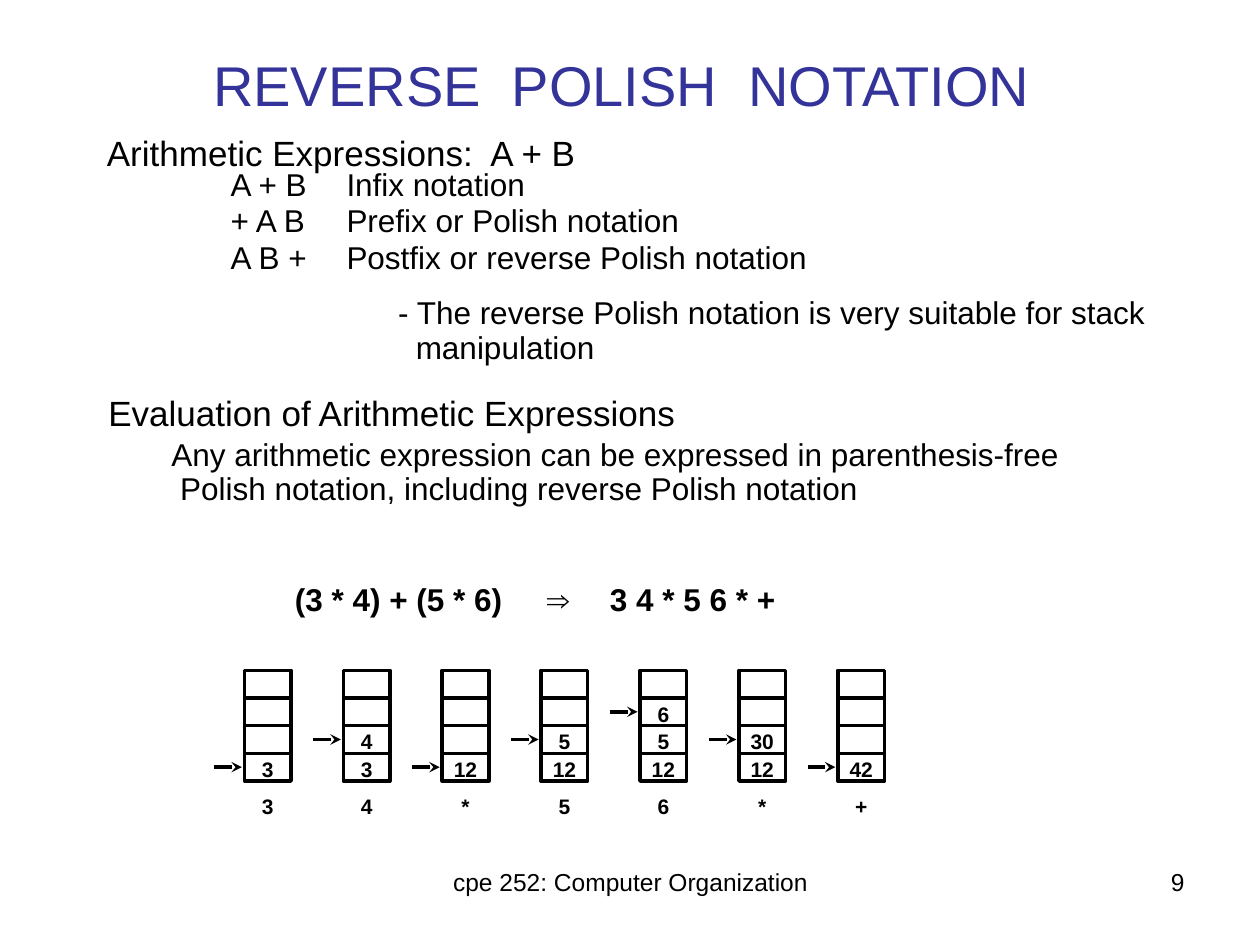
"""Build a slide on reverse Polish notation with stack evaluation steps."""
from dataclasses import dataclass

from lxml.etree import SubElement
from pptx import Presentation
from pptx.dml.color import RGBColor
from pptx.enum.shapes import MSO_CONNECTOR as Connector, MSO_SHAPE as Preset
from pptx.enum.text import MSO_ANCHOR as Anchor, PP_ALIGN as Align
from pptx.oxml.ns import qn
from pptx.util import Inches, Pt


@dataclass(frozen=True)
class Theme:
    font: str = "Arial"
    title_color: RGBColor = RGBColor(0x33, 0x33, 0x99)
    ink: RGBColor = RGBColor(0, 0, 0)
    title: int = 32
    heading: int = 20
    body: int = 18
    footer: int = 14
    cell: int = 12
    stroke: int = 2


@dataclass(frozen=True)
class Line:
    text: str
    margin: float = 0
    indent: float = 0
    tabs: tuple[float, ...] = ()


@dataclass(frozen=True)
class Block:
    left: float
    top: float
    width: float
    height: float
    lines: tuple[Line, ...]
    size: int
    spacing: float = 1
    color: RGBColor = Theme.ink
    bold: bool = False
    align: Align = Align.LEFT
    anchor: Anchor = Anchor.TOP
    insets: tuple[float, float] = (0.07, 0.03)


@dataclass(frozen=True)
class Stack:
    symbol: str
    values: tuple[str, ...]


THEME = Theme()
WIDTH, HEIGHT = Inches(10), Inches(7.5)
WIDE_INSETS = (0.1, 0.05)
CELL_INSETS = (0, 0.05)
ROWS = 4
GRID_LEFT, GRID_TOP, COLUMN_PITCH = 19.4, 70.93, 7.85
STACK_WIDTH, ROW_HEIGHT = 3.7, 2.93
SYMBOL_TOP = 83.6
ARROW_START, ARROW_END = 2.4, 0.2
NOTATION_LAYOUT = (0.42, -0.42, (0.99,))
FORMULA_TABS = (1.83, 2.52)

BLOCKS = (
    Block(34.2, 91.07, 31.7, 6.93, (Line("cpe 252: Computer Organization"),),
          THEME.footer, align=Align.CENTER, insets=WIDE_INSETS),
    Block(71.7, 91.07, 23.3, 6.93, (Line("9"),),
          THEME.footer, align=Align.RIGHT, insets=WIDE_INSETS),
    Block(11.7, 3.33, 75.3, 11.2, (Line("REVERSE  POLISH  NOTATION"),),
          THEME.title, color=THEME.title_color, align=Align.CENTER, anchor=Anchor.MIDDLE),
    Block(17.6, 17.33, 75.8, 12.27, (
        Line("A + B\tInfix notation", *NOTATION_LAYOUT),
        Line("+ A B\tPrefix or Polish notation", *NOTATION_LAYOUT),
        Line("A B +\tPostfix or reverse Polish notation", *NOTATION_LAYOUT),
    ), THEME.body, 0.96),
    Block(28.1, 30.93, 68.5, 14, (
        Line("- The reverse Polish notation is very suitable for stack manipulation", 0.42, -0.14),
    ), THEME.body, 0.94),
    Block(6.5, 41.73, 48, 4.53, (Line("Evaluation of Arithmetic Expressions", 0.14),),
          THEME.heading, 0.85),
    Block(11.5, 46.13, 73.9, 8, (
        Line("Any arithmetic expression can be expressed in parenthesis-free", 0.14),
        Line("Polish notation, including reverse Polish notation", 0.21),
    ), THEME.body, 0.9),
    Block(22.7, 61.2, 39.9, 4.53, (
        Line("(3 * 4) + (5 * 6)\t⇒\t3 4 * 5 6 * +", tabs=FORMULA_TABS),
    ), THEME.body, 0.96, bold=True),
    Block(7.5, 13.73, 40, 5.33, (Line("Arithmetic Expressions:  A + B"),),
          THEME.heading, 0.9, insets=WIDE_INSETS),
)

STACKS = (
    Stack("3", ("3",)),
    Stack("4", ("3", "4")),
    Stack("*", ("12",)),
    Stack("5", ("12", "5")),
    Stack("6", ("12", "5", "6")),
    Stack("*", ("12", "30")),
    Stack("+", ("42",)),
)


def across(share: float) -> int:
    """Turn a percentage of the slide's width into a length."""
    return round(WIDTH * share / 100)


def down(share: float) -> int:
    """Turn a percentage of the slide's height into a length."""
    return round(HEIGHT * share / 100)


def add_block(slide, block: Block) -> None:
    """Draw a block of text lines that share one style."""
    shape = slide.shapes.add_textbox(
        across(block.left), down(block.top), across(block.width), down(block.height))
    frame = shape.text_frame
    frame.word_wrap = True
    frame.vertical_anchor = block.anchor
    frame.margin_left = frame.margin_right = Inches(block.insets[0])
    frame.margin_top = frame.margin_bottom = Inches(block.insets[1])
    frame.text = "\n".join(line.text for line in block.lines)
    for paragraph, line in zip(frame.paragraphs, block.lines):
        paragraph.alignment = block.align
        paragraph.line_spacing = block.spacing
        properties = paragraph._p.get_or_add_pPr()
        properties.set("marL", str(Inches(line.margin)))
        properties.set("indent", str(Inches(line.indent)))
        if line.tabs:
            tab_list = SubElement(properties, qn("a:tabLst"))
            for position in line.tabs:
                SubElement(tab_list, qn("a:tab"), pos=str(Inches(position)), algn="l")
        font = paragraph.font
        font.name, font.size, font.bold = THEME.font, Pt(block.size), block.bold
        font.color.rgb = block.color


def add_line(slide, left: float, right: float, level: float, arrow: bool = False):
    """Draw a horizontal line, with an arrowhead at its right end if asked."""
    line = slide.shapes.add_connector(
        Connector.STRAIGHT, across(left), down(level), across(right), down(level))
    line.line.color.rgb = THEME.ink
    line.line.width = Pt(THEME.stroke)
    if arrow:
        SubElement(line.line._get_or_add_ln(), qn("a:tailEnd"), type="stealth")
    SubElement(line._element.spPr, qn("a:effectLst"))
    return line


def add_cell_text(slide, left: float, top: float, text: str) -> None:
    """Write a short bold text centred over a stack's width."""
    add_block(slide, Block(left, top, STACK_WIDTH, 3.73, (Line(text),), THEME.cell, 0.9,
                           bold=True, align=Align.CENTER, insets=CELL_INSETS))


def add_stack(slide, left: float, stack: Stack) -> None:
    """Draw a stack with its values, top pointer and input symbol."""
    frame = slide.shapes.add_shape(
        Preset.RECTANGLE, across(left), down(GRID_TOP),
        across(STACK_WIDTH), down(ROWS * ROW_HEIGHT))
    frame.shadow.inherit = False
    frame.fill.background()
    frame.line.color.rgb = THEME.ink
    frame.line.width = Pt(THEME.stroke)
    for row in range(1, ROWS):
        divider = add_line(slide, left, left + STACK_WIDTH, GRID_TOP + row * ROW_HEIGHT)
        if row * 2 == ROWS:
            divider.begin_connect(frame, 1)
            divider.end_connect(frame, 3)
    for depth, value in enumerate(stack.values, start=1):
        add_cell_text(slide, left, GRID_TOP + (ROWS - depth) * ROW_HEIGHT, value)
    pointer = GRID_TOP + (ROWS - len(stack.values) + 0.5) * ROW_HEIGHT
    add_line(slide, left - ARROW_START, left - ARROW_END, pointer, arrow=True)
    add_cell_text(slide, left, SYMBOL_TOP, stack.symbol)


def main() -> None:
    """Build and save the presentation."""
    presentation = Presentation()
    presentation.slide_width, presentation.slide_height = WIDTH, HEIGHT
    slide = presentation.slides.add_slide(presentation.slide_layouts[6])
    for block in BLOCKS:
        add_block(slide, block)
    for column, stack in enumerate(STACKS):
        add_stack(slide, GRID_LEFT + column * COLUMN_PITCH, stack)
    presentation.save("out.pptx")


if __name__ == "__main__":
    main()
